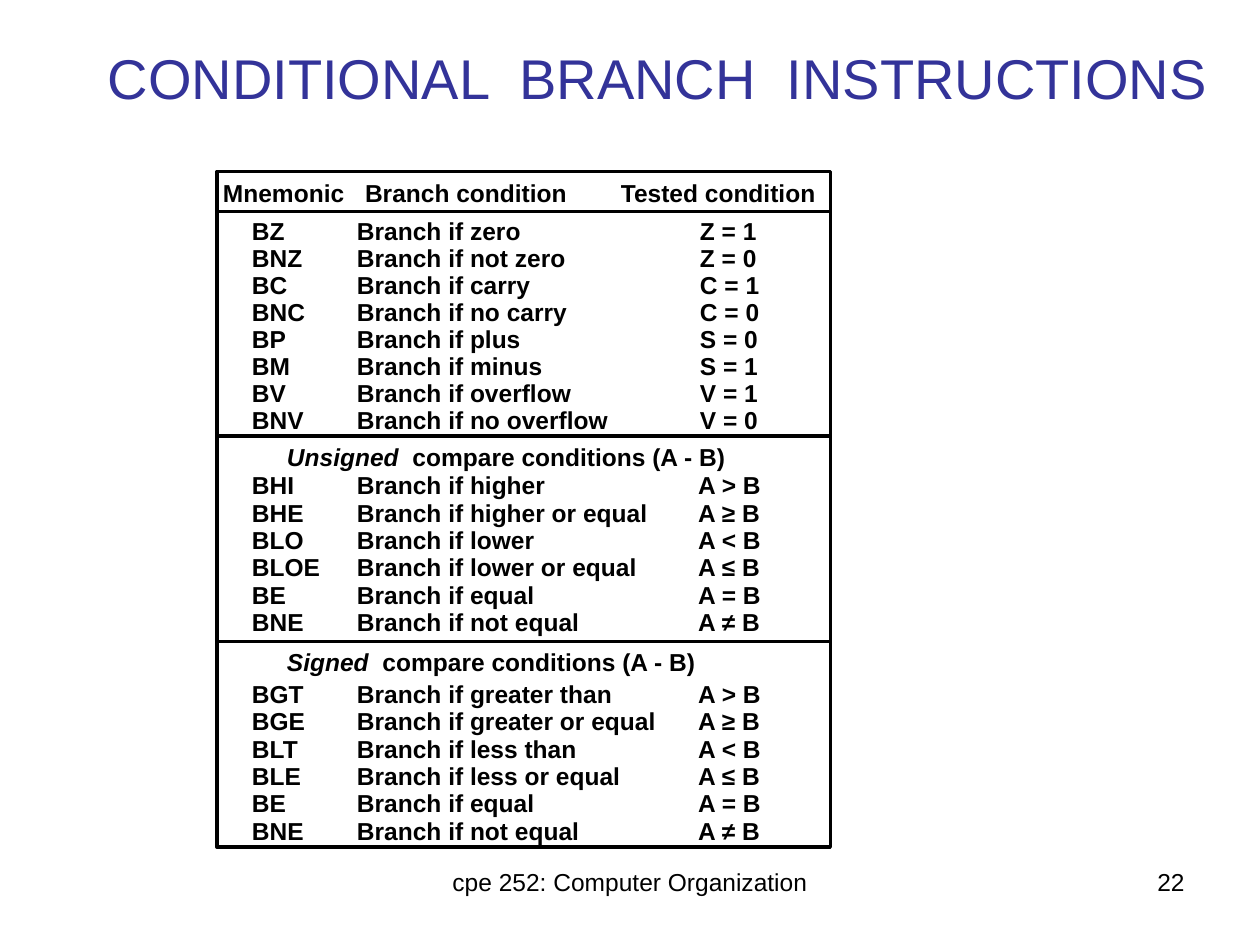
from lxml import etree
from pptx import Presentation
from pptx.dml.color import RGBColor
from pptx.enum import shapes, text
from pptx.oxml import ns
from pptx.util import Pt

COLOURS = {"ink": "000000", "title": "333399", "paper": "FFFFFF"}
SMALL_INSETS = (5, 2.5)
PLAIN_INSETS = (7.2, 3.6)

FLAGS = [
    ("BZ", "Branch if zero", "Z = 1"),
    ("BNZ", "Branch if not zero", "Z = 0"),
    ("BC", "Branch if carry", "C = 1"),
    ("BNC", "Branch if no carry", "C = 0"),
    ("BP", "Branch if plus", "S = 0"),
    ("BM", "Branch if minus", "S = 1"),
    ("BV", "Branch if overflow", "V = 1"),
    ("BNV", "Branch if no overflow", "V = 0"),
]
RELATIONS = ["A > B", "A ≥ B", "A < B", "A ≤ B", "A = B", "A ≠ B"]
UNSIGNED = [
    ("BHI", "higher"), ("BHE", "higher or equal"), ("BLO", "lower"),
    ("BLOE", "lower or equal"), ("BE", "equal"), ("BNE", "not equal"),
]
SIGNED = [
    ("BGT", "greater than"), ("BGE", "greater or equal"), ("BLT", "less than"),
    ("BLE", "less or equal"), ("BE", "equal"), ("BNE", "not equal"),
]


def compare_rows(branches):
    return [
        (mnemonic, f"Branch if {condition}", relation)
        for (mnemonic, condition), relation in zip(branches, RELATIONS)
    ]


class SlideWriter:
    """Holds the text style and the page, and adds each kind of element."""

    def __init__(self, page, font="Arial"):
        self.page = page
        self.font = font
        page.background.fill.solid()
        page.background.fill.fore_color.rgb = self.colour("paper")

    def colour(self, name):
        return RGBColor.from_string(COLOURS[name])

    def add_text(self, place, lines, size=14, colour="ink", bold=False, align="LEFT",
                 anchor="TOP", insets=SMALL_INSETS, spacing=None, tabs=()):
        box = self.page.shapes.add_textbox(*map(Pt, place))
        across, down = map(Pt, insets)
        frame_format = {
            "word_wrap": True,
            "vertical_anchor": getattr(text.MSO_ANCHOR, anchor),
            "margin_left": across, "margin_right": across,
            "margin_top": down, "margin_bottom": down,
        }
        for name, value in frame_format.items():
            setattr(box.text_frame, name, value)
        for index, spans in enumerate(lines):
            para = box.text_frame.paragraphs[0] if index == 0 else box.text_frame.add_paragraph()
            para.alignment = getattr(text.PP_ALIGN, align)
            para.line_spacing = spacing
            self.add_tabs(para, tabs)
            for words, italic in spans:
                span = para.add_run()
                span.text = words
                span_format = {"name": self.font, "size": Pt(size), "bold": bold, "italic": italic}
                for name, value in span_format.items():
                    setattr(span.font, name, value)
                span.font.color.rgb = self.colour(colour)

    def add_tabs(self, para, tabs):
        if tabs:
            tab_list = etree.SubElement(para._p.get_or_add_pPr(), ns.qn("a:tabLst"))
            for position in tabs:
                etree.SubElement(tab_list, ns.qn("a:tab"), pos=str(Pt(position)), algn="l")

    def add_rows(self, place, rows, spacing, tabs):
        lines = [[("\t".join(row), False)] for row in rows]
        self.add_text(place, lines, bold=True, spacing=spacing, tabs=tabs)

    def add_subheading(self, top, kind):
        spans = [(kind, True), ("  compare conditions (A - B)", False)]
        self.add_text((159, top, 262, 19.5), [spans], bold=True, spacing=0.9)

    def add_frame(self, place):
        frame = self.page.shapes.add_shape(shapes.MSO_SHAPE.RECTANGLE, *map(Pt, place))
        frame.shadow.inherit = False
        frame.fill.background()
        self.set_line(frame)

    def add_rule(self, left, right, top):
        rule = self.page.shapes.add_connector(
            shapes.MSO_CONNECTOR.STRAIGHT, Pt(left), Pt(top), Pt(right), Pt(top))
        self.set_line(rule)
        etree.SubElement(rule._element.spPr, ns.qn("a:effectLst"))

    def set_line(self, shape):
        shape.line.color.rgb = self.colour("ink")
        shape.line.width = Pt(2)


def main():
    deck = Presentation()
    deck.slide_width, deck.slide_height = Pt(720), Pt(540)
    writer = SlideWriter(deck.slides.add_slide(deck.slide_layouts[6]))

    writer.add_text((246, 492, 228, 37.5), [[("cpe 252: Computer Organization", False)]],
                    align="CENTER", insets=PLAIN_INSETS)
    writer.add_text((516, 492, 168, 37.5), [[("22", False)]],
                    align="RIGHT", insets=PLAIN_INSETS)
    writer.add_text((30, 12, 692, 64), [[("CONDITIONAL  BRANCH  INSTRUCTIONS", False)]],
                    size=32, colour="title", align="CENTER", anchor="MIDDLE")

    writer.add_rows((139, 122.4, 507, 128), FLAGS, 0.92, (60, 256))
    for top, branches in ((267.8, UNSIGNED), (387, SIGNED)):
        writer.add_rows((139, top, 507, 98), compare_rows(branches), 0.93, (60, 255))
    for top, kind in ((252, "Unsigned"), (369.2, "Signed")):
        writer.add_subheading(top, kind)
    headings = [("Mnemonic", "Branch condition", "Tested condition")]
    writer.add_rows((122.4, 101, 350, 19.5), headings, 0.9, (81.2, 227.4))

    writer.add_frame((124, 98, 350.5, 386))
    for left, top in ((124, 121), (124, 249), (125.2, 366.6)):
        writer.add_rule(left, 475, top)

    deck.save("out.pptx")


if __name__ == "__main__":
    main()
